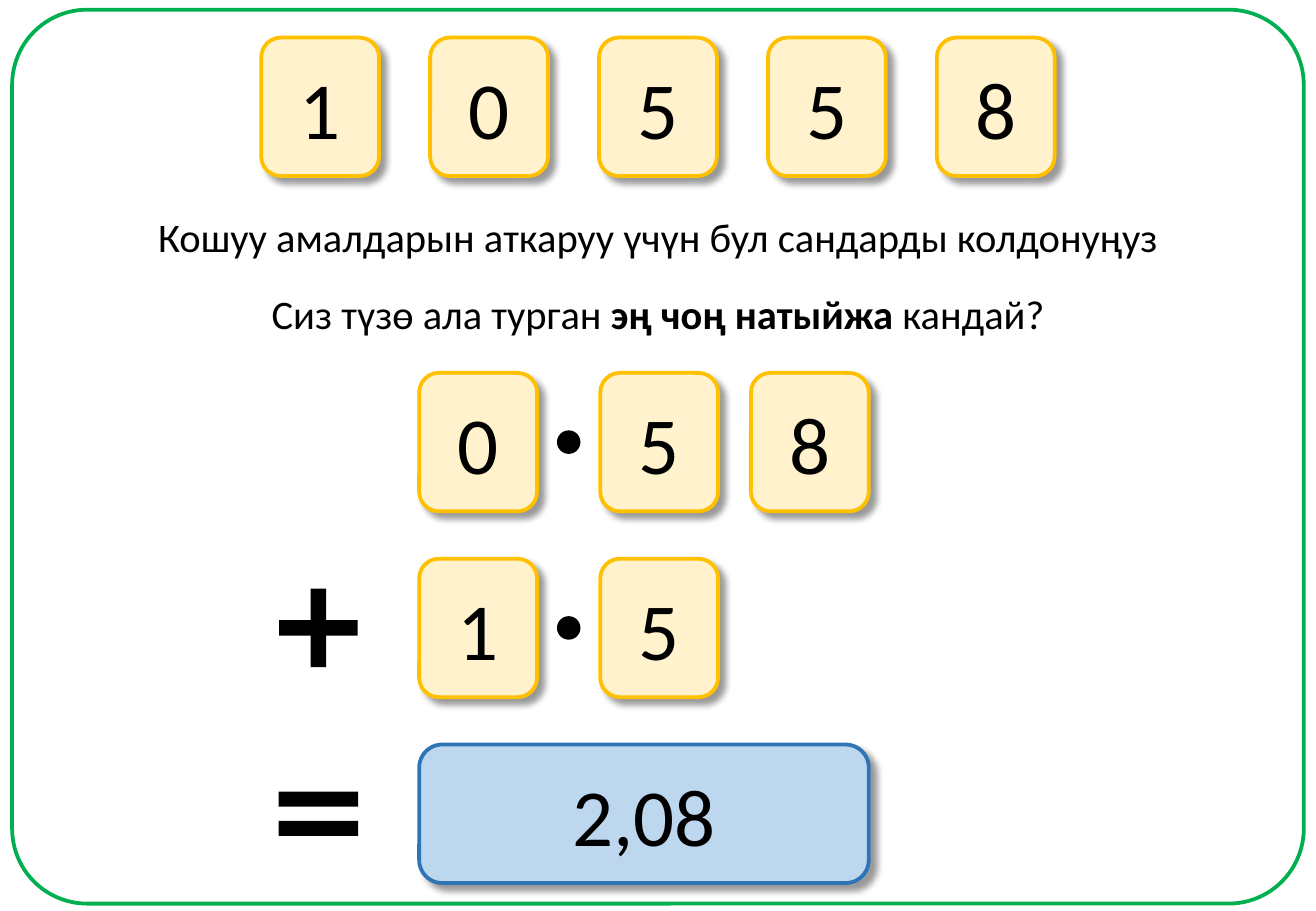
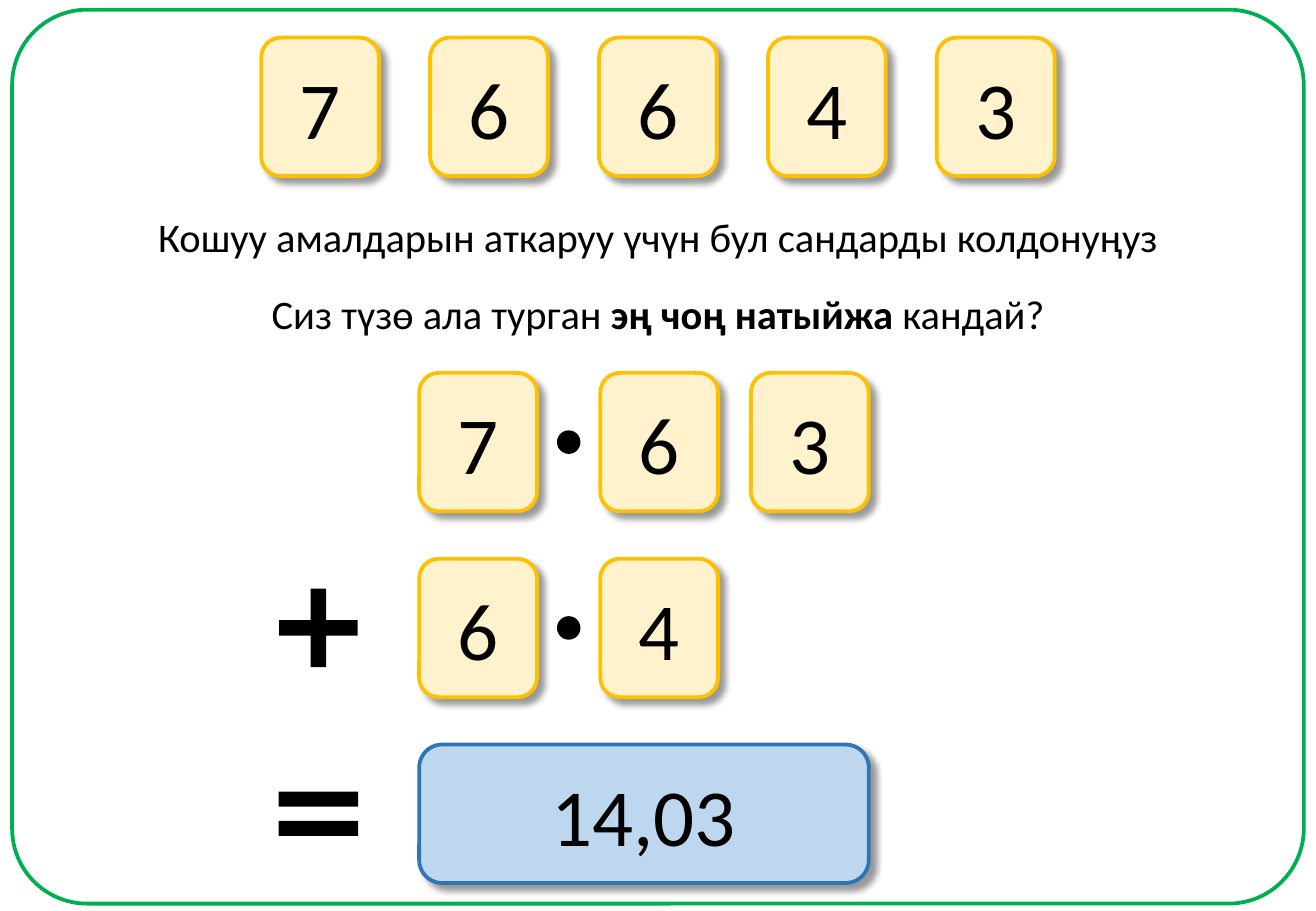
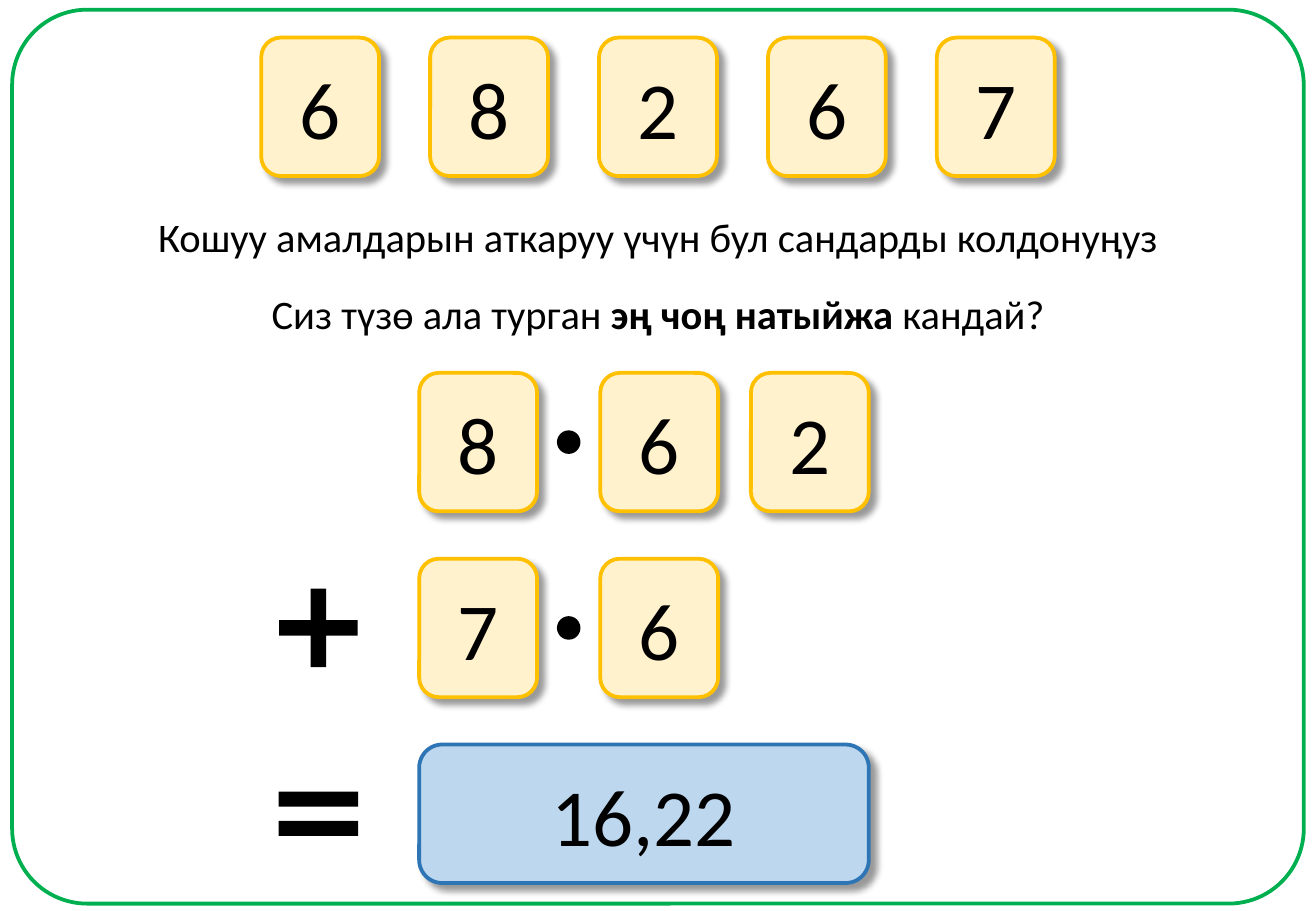
from pptx import Presentation
from pptx.dml.color import RGBColor
from pptx.enum.shapes import MSO_SHAPE
from pptx.enum.text import MSO_ANCHOR, MSO_AUTO_SIZE, PP_ALIGN
from pptx.oxml import parse_xml
from pptx.oxml.ns import nsdecls, qn
from pptx.util import Inches, Pt

ROUNDED, OVAL = MSO_SHAPE.ROUNDED_RECTANGLE, MSO_SHAPE.OVAL
PLUS, EQUAL = MSO_SHAPE.MATH_PLUS, MSO_SHAPE.MATH_EQUAL
CENTER, MIDDLE = PP_ALIGN.CENTER, MSO_ANCHOR.MIDDLE
FIT_SHAPE = MSO_AUTO_SIZE.SHAPE_TO_FIT_TEXT

# Style
BLACK = RGBColor(0x00, 0x00, 0x00)
GREEN = RGBColor(0x00, 0xB0, 0x50)
CREAM = RGBColor(0xFF, 0xF2, 0xCC)
GOLD = RGBColor(0xFF, 0xC0, 0x00)
PALE_BLUE = RGBColor(0xBD, 0xD7, 0xEE)
BLUE = RGBColor(0x2E, 0x75, 0xB6)
FONT = "Calibri"

# Grid, in inches
PAGE_W, PAGE_H = 10.83, 7.5
CARD_W, CARD_H = 0.97, 1.14
BANK_LEFT, BANK_TOP, BANK_STEP = 2.15, 0.31, 1.39
SUM_COLUMNS = (3.45, 4.94, 6.18)
SUM_ROWS = [3.07 + 1.53 * row for row in range(3)]
RESULT_W = SUM_COLUMNS[2] + CARD_W - SUM_COLUMNS[0]
POINT_SIZE = 0.18
POINT_X = (SUM_COLUMNS[0] + CARD_W + SUM_COLUMNS[1]) / 2
SIGN_X = 2.62

# Wording: (text, bold) spans
INSTRUCTION = [("Кошуу амалдарын аткаруу үчүн бул сандарды колдонуңуз", False)]
QUESTION = [("Сиз түзө ала турган ", False), ("эң чоң натыйжа ", True),
            ("кандай?", False)]

# Number bank, first addend, second addend, result
TASKS = [
    ("10558", "058", "15", "2,08"),
    ("76643", "763", "64", "14,03"),
    ("68267", "862", "76", "16,22"),
]


class NumberDeck:
    def __init__(self):
        self.deck = Presentation()
        self.deck.slide_width = Inches(PAGE_W)
        self.deck.slide_height = Inches(PAGE_H)
        self.page = None

    def new_page(self):
        self.page = self.deck.slides.add_slide(self.deck.slide_layouts[6])
        self.shape(ROUNDED, 0.1, 0.08, 10.63, 7.36, None, GREEN,
                   adjustments=[0.084])

    def shape(self, kind, left, top, width, height, fill, line=None,
              weight=2.25, adjustments=()):
        shape = self.page.shapes.add_shape(
            kind, Inches(left), Inches(top), Inches(width), Inches(height))
        shape.shadow.inherit = False
        for index, value in enumerate(adjustments):
            shape.adjustments[index] = value
        if fill is None:
            shape.fill.background()
        else:
            shape.fill.solid()
            shape.fill.fore_color.rgb = fill
        if line is None:
            shape.line.fill.background()
        else:
            shape.line.color.rgb = line
            shape.line.width = Pt(weight)
        return shape

    def centered(self, kind, center_x, center_y, width, height, **style):
        return self.shape(kind, center_x - width / 2, center_y - height / 2,
                          width, height, BLACK, **style)

    def add_text(self, box, spans, size):
        para = box.text_frame.paragraphs[0]
        para.alignment = CENTER
        for text, bold in spans:
            span = para.add_run()
            span.text = text
            span.font.name = FONT
            span.font.size = Pt(size)
            span.font.bold = bold
            span.font.color.rgb = BLACK

    def card(self, text, left, top, width=CARD_W, fill=CREAM, line=GOLD):
        card = self.shape(ROUNDED, left, top, width, CARD_H, fill, line)
        card.text_frame.vertical_anchor = MIDDLE
        self.add_text(card, [(text, False)], 48)
        # Soft shadow to the lower right
        effects = card._element.spPr.find(qn("a:effectLst"))
        effects.append(parse_xml(
            f'<a:outerShdw {nsdecls("a")} blurRad="{Pt(4)}" dist="{Pt(5)}" '
            'dir="2700000" algn="tl" rotWithShape="0">'
            f'<a:srgbClr val="{BLACK}"><a:alpha val="40000"/></a:srgbClr>'
            '</a:outerShdw>'))

    def line_of_text(self, spans, top, width):
        box = self.page.shapes.add_textbox(
            Inches((PAGE_W - width) / 2), Inches(top),
            Inches(width), Inches(0.5))
        box.text_frame.word_wrap = False
        box.text_frame.auto_size = FIT_SHAPE
        self.add_text(box, spans, 24)

    def bank(self, digits):
        for column, digit in enumerate(digits):
            self.card(digit, BANK_LEFT + column * BANK_STEP, BANK_TOP)

    def addend(self, digits, top):
        for digit, left in zip(digits, SUM_COLUMNS):
            self.card(digit, left, top)
        self.centered(OVAL, POINT_X, top + CARD_H / 2, POINT_SIZE, POINT_SIZE,
                      line=BLACK, weight=1)

    def sign(self, kind, top, width, height, adjustments):
        self.centered(kind, SIGN_X, top + CARD_H / 2, width, height,
                      adjustments=adjustments)

    def result(self, text, top):
        self.card(text, SUM_COLUMNS[0], top, RESULT_W, PALE_BLUE, BLUE)


def main():
    builder = NumberDeck()
    first_row, second_row, result_row = SUM_ROWS
    for bank, first, second, result in TASKS:
        builder.new_page()
        # Numbers to choose from and the task
        builder.bank(bank)
        builder.line_of_text(INSTRUCTION, 1.7, 8.51)
        builder.line_of_text(QUESTION, 2.33, 6.62)
        # Addition
        builder.addend(first, first_row)
        builder.addend(second, second_row)
        builder.sign(PLUS, second_row, 0.88, 0.88, [0.144])
        builder.sign(EQUAL, result_row, 0.89, 1, [0.123, 0.118])
        builder.result(result, result_row)
    builder.deck.save("out.pptx")


if __name__ == "__main__":
    main()
